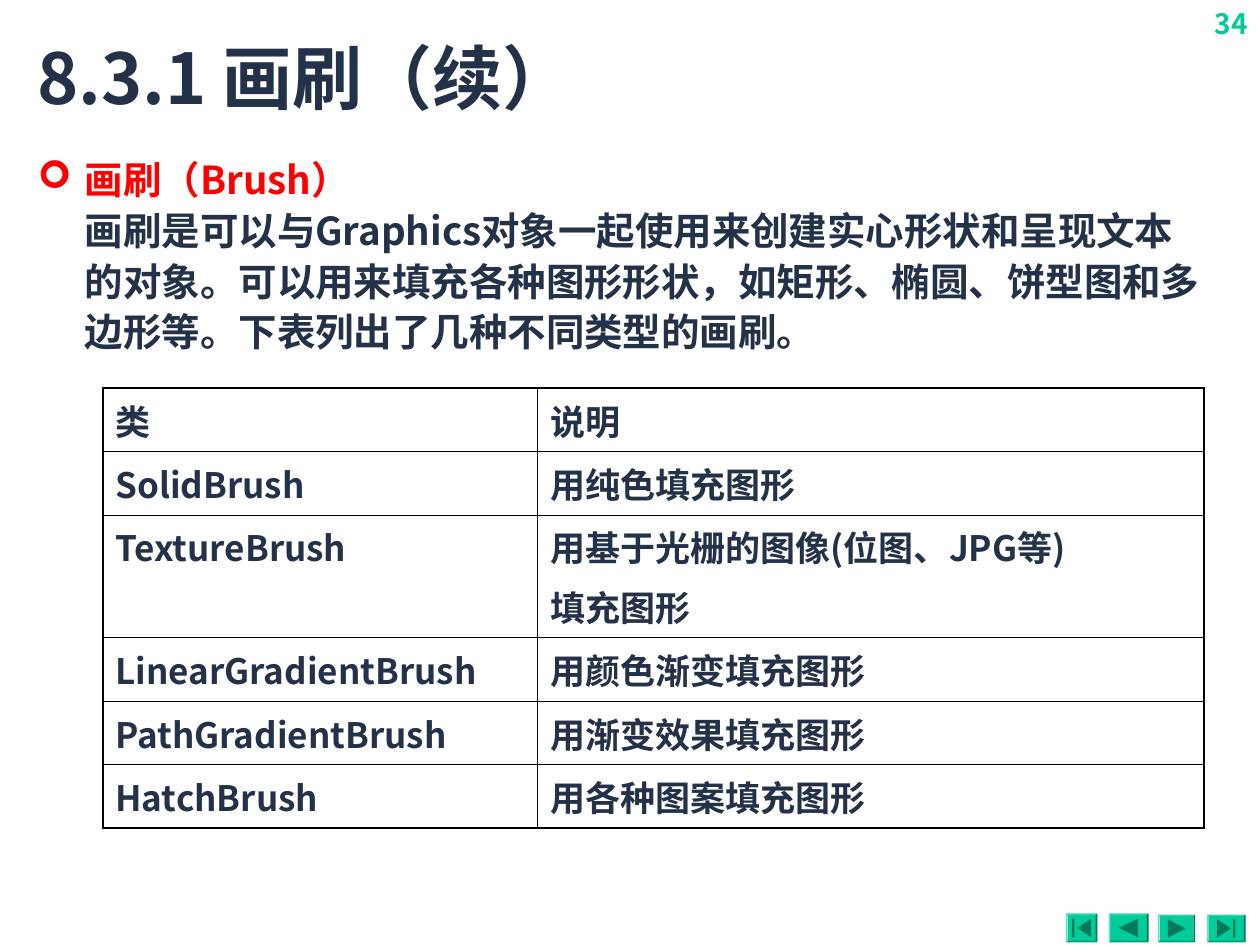
from lxml.etree import SubElement
from pptx import Presentation
from pptx.dml.color import RGBColor
from pptx.enum.shapes import MSO_SHAPE
from pptx.enum.text import MSO_ANCHOR, PP_ALIGN
from pptx.oxml.ns import qn
from pptx.util import Pt

INK, RED, GREEN, DARK, BLACK = "233249", "FF0000", "00CC99", "007A5C", "000000"
SANS, NUM = "Noto Sans CJK SC", "Noto Sans CJK KR"
THICK, THIN = 1.08, 0.45

ROWS = [
    ("类", "说明"),
    ("SolidBrush", "用纯色填充图形"),
    ("TextureBrush", "用基于光栅的图像(位图、JPG等)\n填充图形"),
    ("LinearGradientBrush", "用颜色渐变填充图形"),
    ("PathGradientBrush", "用渐变效果填充图形"),
    ("HatchBrush", "用各种图案填充图形"),
]
# left, top, width of a button; base and tip of its arrow; left of its bar
BUTTONS = [
    (609.1, 522, 18, 623.5, 615.6, 612.7),
    (633.6, 522, 22.7, 650.2, 639.4, None),
    (661.7, 522.6, 21.2, 667.4, 677.5, None),
    (689.8, 522.6, 22, 695.5, 703.4, 704.6),
]


def color(code):
    return RGBColor.from_string(code)


class Deck:
    def __init__(self):
        self.prs = Presentation()
        self.prs.slide_width, self.prs.slide_height = Pt(720), Pt(540)
        self.slide = self.prs.slides.add_slide(self.prs.slide_layouts[6])
        self.shapes = self.slide.shapes

    def style(self, run, size, code, face=SANS):
        font = run.font
        font.size, font.bold, font.name = Pt(size), True, face
        font.color.rgb = color(code)
        SubElement(font._element, qn("a:ea"), typeface=face)

    def text(self, words, box, size, codes, face=SANS):
        """Add a text box; each run takes the next colour of codes."""
        frame = self.shapes.add_textbox(*map(Pt, box)).text_frame
        frame.word_wrap = True
        frame.text = words
        for run, code in zip(frame.paragraphs[0].runs, codes):
            self.style(run, size, code, face)
        return frame

    def bullet(self, para, mark, code, indent):
        props = para._p.get_or_add_pPr()
        props.set("marL", str(Pt(indent)))
        props.set("indent", str(-Pt(indent)))
        tint = SubElement(props, qn("a:buClr"))
        SubElement(tint, qn("a:srgbClr"), val=code)
        SubElement(props, qn("a:buFont"), typeface="Wingdings")
        SubElement(props, qn("a:buChar"), char=mark)

    def border(self, cell, widths):
        """Draw the left, right, top and bottom lines of a cell."""
        props = cell._tc.get_or_add_tcPr()
        for side, width in zip("LRTB", widths):
            line = SubElement(props, qn("a:ln" + side), w=str(Pt(width)))
            fill = SubElement(line, qn("a:solidFill"))
            SubElement(fill, qn("a:srgbClr"), val=BLACK)

    def table(self, rows, left, top, cols, heights):
        box = map(Pt, (left, top, sum(cols), sum(heights)))
        grid = self.shapes.add_table(len(rows), len(cols), *box).table
        grid.first_row = grid.horz_banding = False
        for col, width in zip(grid.columns, cols):
            col.width = Pt(width)
        for row, height in zip(grid.rows, heights):
            row.height = Pt(height)
        for r, row in enumerate(rows):
            for c, words in enumerate(row):
                cell = grid.cell(r, c)
                outer = (c == 0, c == len(cols) - 1, r == 0, r == len(rows) - 1)
                self.border(cell, [THICK if edge else THIN for edge in outer])
                cell.fill.background()
                cell.text_frame.text = words
                for n, para in enumerate(cell.text_frame.paragraphs):
                    if n:
                        para.space_before = Pt(5)
                    self.style(para.runs[0], 20, INK)

    def paint(self, shape, code):
        shape.shadow.inherit = False
        shape.fill.solid()
        shape.fill.fore_color.rgb = color(code)
        shape.line.fill.background()

    def button(self, left, top, width, base, tip, bar):
        height = 538.5 - top
        face = self.shapes.add_shape(
            MSO_SHAPE.BEVEL, *map(Pt, (left, top, width, height)))
        face.adjustments[0] = 0.06
        self.paint(face, GREEN)
        mid = top + height / 2
        high, low = Pt(mid - 5.2), Pt(mid + 5.2)
        path = self.shapes.build_freeform(Pt(base), high)
        path.add_line_segments([(Pt(tip), Pt(mid)), (Pt(base), low)])
        if bar:
            near, far = Pt(bar), Pt(bar + 1.3)
            path.move_to(near, high)
            path.add_line_segments([(far, high), (far, low), (near, low)])
        self.paint(path.convert_to_shape(), DARK)


def main():
    deck = Deck()
    page = deck.text("34", (673.2, 0, 46.8, 28.8), 16, [GREEN], NUM)
    page.paragraphs[0].alignment = PP_ALIGN.RIGHT
    for spot in BUTTONS:
        deck.button(*spot)

    title = deck.text("8.3.1 画刷（续）", (14.4, 14.7, 635.8, 58.3), 40, [INK])
    title.vertical_anchor = MSO_ANCHOR.MIDDLE

    body = deck.text(
        "画刷（Brush）\v画刷是可以与Graphics对象一起使用来创建实心形状和呈现文本的对象。"
        "可以用来填充各种图形形状，如矩形、椭圆、饼型图和多边形等。"
        "下表列出了几种不同类型的画刷。",
        (14.4, 83, 680.4, 136), 22, [RED, INK])
    para = body.paragraphs[0]
    para.line_spacing = 1.1
    deck.bullet(para, "➢", RED, 27)

    heights = [36.2, 36.2, 70.2, 36.2, 36.2, 36.2]
    deck.table(ROWS, 58.7, 221.8, [248.4, 381], heights)
    deck.prs.save("out.pptx")


if __name__ == "__main__":
    main()
